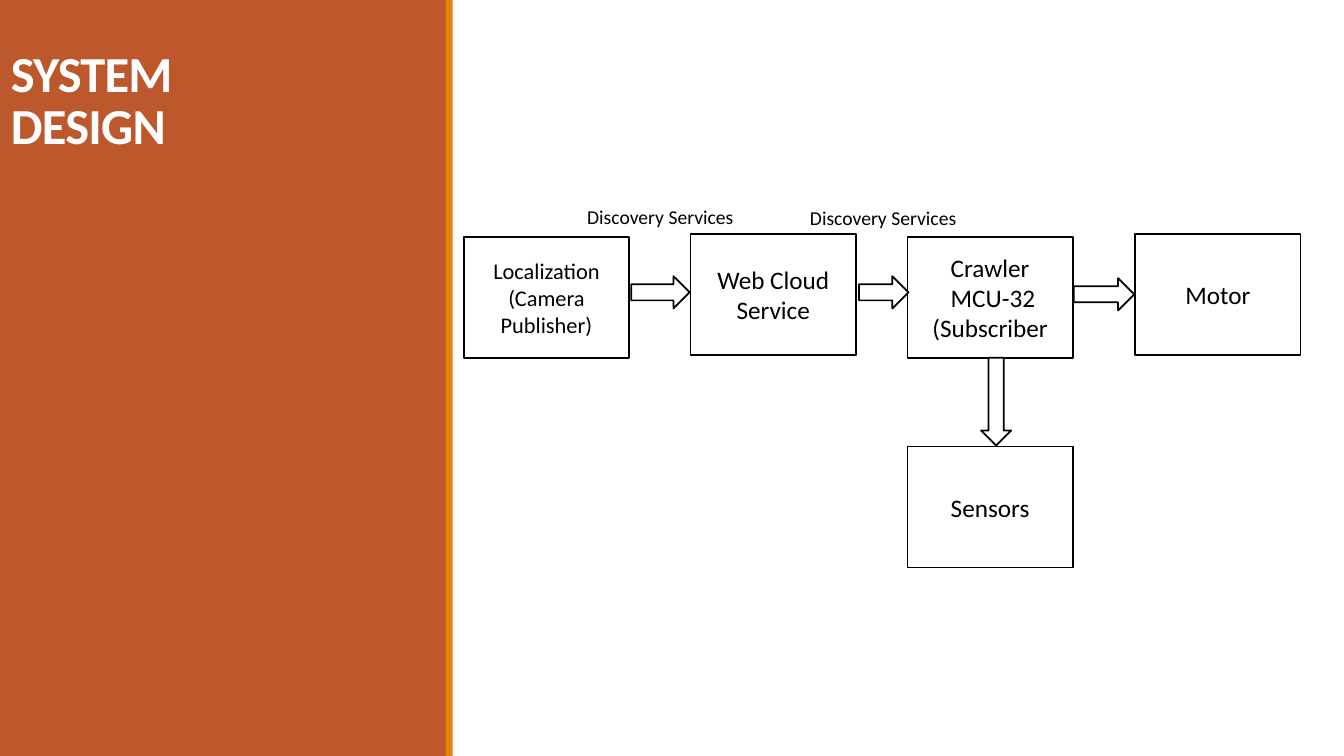
from dataclasses import dataclass

import pptx
import pptx.dml.color
import pptx.enum.shapes
import pptx.enum.text
import pptx.util

Inches = pptx.util.Inches
Pt = pptx.util.Pt
ShapeType = pptx.enum.shapes.MSO_SHAPE
Anchor = pptx.enum.text.MSO_ANCHOR
Align = pptx.enum.text.PP_ALIGN

FONT = "Calibri"
BLACK, WHITE = "000000", "FFFFFF"
RUST, ORANGE = "BD582C", "E48312"
BOX_WIDTH, BOX_HEIGHT = 1.64, 1.2
ARROW_THICKNESS = 0.32


@dataclass
class Box:
    left: float
    top: float
    lines: list[str]
    size: int = 18


@dataclass
class Arrow:
    left: float
    top: float
    width: float
    height: float = ARROW_THICKNESS
    kind: ShapeType = ShapeType.RIGHT_ARROW


@dataclass
class Label:
    left: float
    top: float
    text: str = "Discovery Services"


BOXES = [
    Box(4.6, 2.35, ["Localization", "(Camera Publisher)"], 16),
    Box(6.85, 2.32, ["Web Cloud Service"]),
    Box(9, 2.35, ["Crawler", " MCU-32", "(Subscriber"]),
    Box(11.26, 2.32, ["Motor"]),
    Box(9, 4.43, ["Sensors"]),
]
ARROWS = [
    Arrow(6.26, 2.74, 0.58),
    Arrow(8.52, 2.74, 0.49),
    Arrow(10.65, 2.76, 0.6),
    Arrow(9.73, 3.55, 0.3, 0.87, ShapeType.DOWN_ARROW),
]
LABELS = [Label(5.65, 1.98), Label(7.86, 1.99)]


def color(value: str) -> pptx.dml.color.RGBColor:
    return pptx.dml.color.RGBColor.from_string(value)


def add_shape(slide, kind: ShapeType, left: float, top: float, width: float,
              height: float, fill: str, outline: str | None = None):
    shape = slide.shapes.add_shape(
        kind, Inches(left), Inches(top), Inches(width), Inches(height))
    shape.shadow.inherit = False
    shape.fill.solid()
    shape.fill.fore_color.rgb = color(fill)
    if outline:
        shape.line.color.rgb = color(outline)
        shape.line.width = Pt(1.25)
    else:
        shape.line.fill.background()
    return shape


def write_lines(shape, lines: list[str], size: int, anchor: Anchor,
                alignment: Align = Align.CENTER, text_color: str = BLACK) -> None:
    frame = shape.text_frame
    frame.word_wrap = True
    frame.vertical_anchor = anchor
    frame.text = "\n".join(lines)
    for paragraph in frame.paragraphs:
        paragraph.alignment = alignment
        paragraph.font.name = FONT
        paragraph.font.size = Pt(size)
        paragraph.font.color.rgb = color(text_color)


def add_text_box(slide, left: float, top: float, width: float, height: float):
    return slide.shapes.add_textbox(
        Inches(left), Inches(top), Inches(width), Inches(height))


def add_title_panel(slide) -> None:
    add_shape(slide, ShapeType.RECTANGLE, 0, 0, 4.43, 7.5, RUST)
    add_shape(slide, ShapeType.RECTANGLE, 4.42, 0, 0.07, 7.5, ORANGE)
    title = add_text_box(slide, 0.01, 0.6, 3.37, 0.98)
    write_lines(title, ["SYSTEM DESIGN"], 36, Anchor.BOTTOM, Align.LEFT, WHITE)
    paragraph = title.text_frame.paragraphs[0]
    paragraph.line_spacing = 0.85
    paragraph.font.bold = True
    paragraph.runs[0].font._element.set("spc", "-50")


def add_box(slide, box: Box) -> None:
    shape = add_shape(slide, ShapeType.RECTANGLE, box.left, box.top,
                      BOX_WIDTH, BOX_HEIGHT, WHITE, BLACK)
    write_lines(shape, box.lines, box.size, Anchor.MIDDLE)


def add_arrow(slide, arrow: Arrow) -> None:
    add_shape(slide, arrow.kind, arrow.left, arrow.top,
              arrow.width, arrow.height, WHITE, BLACK)


def add_label(slide, label: Label) -> None:
    text_box = add_text_box(slide, label.left, label.top, 1.8, 0.34)
    write_lines(text_box, [label.text], 14, Anchor.TOP)


def main() -> None:
    presentation = pptx.Presentation()
    presentation.slide_width = Inches(13.33)
    presentation.slide_height = Inches(7.5)
    slide = presentation.slides.add_slide(presentation.slide_layouts[6])

    add_title_panel(slide)
    for box in BOXES:
        add_box(slide, box)
    for arrow in ARROWS:
        add_arrow(slide, arrow)
    for label in LABELS:
        add_label(slide, label)

    presentation.save("out.pptx")


if __name__ == "__main__":
    main()
